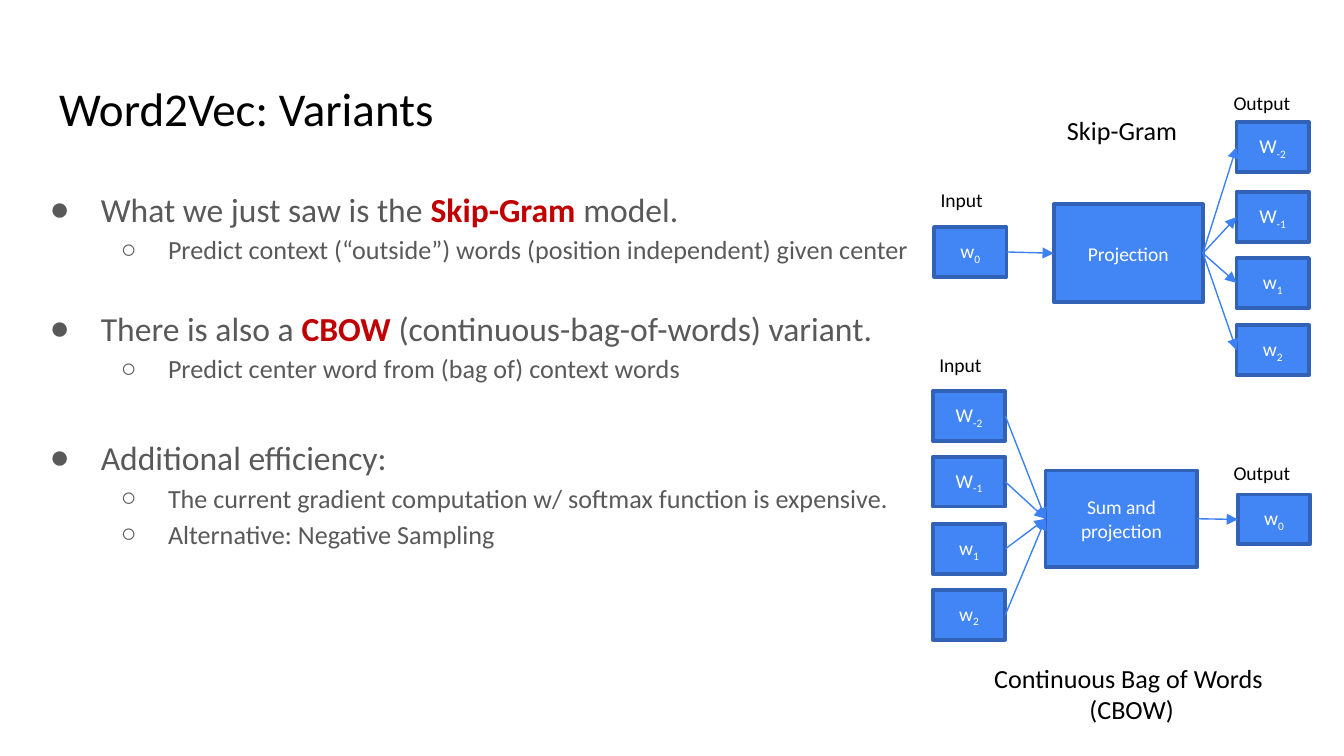
"""Build the Word2Vec variants slide with its two model diagrams."""
from dataclasses import dataclass

from lxml import etree
from pptx import Presentation
from pptx import util as u
from pptx.dml.color import RGBColor
from pptx.enum import shapes, text
from pptx.oxml.ns import qn


@dataclass(frozen=True)
class Theme:
    """Colours, font and type sizes."""
    face: str = "Calibri"
    ink: str = "000000"
    grey: str = "595959"
    red: str = "C00000"
    white: str = "FFFFFF"
    blue: str = "4285F4"
    edge: str = "3162B5"
    wire: str = "3C81F3"
    head: float = 25.2
    main: float = 18
    sub: float = 14
    small: float = 10.5


@dataclass(frozen=True)
class Node:
    """A word box: letter, subscript and place."""
    word: str
    sub: str
    left: float
    top: float


@dataclass(frozen=True)
class Hub:
    """The central box of a model."""
    label: str
    left: float
    top: float
    width: float
    height: float


@dataclass(frozen=True)
class Label:
    """Free text: its lines, place and look."""
    lines: tuple
    left: float
    top: float
    width: float
    height: float
    size: float
    align: text.PP_ALIGN = text.PP_ALIGN.LEFT
    wrap: bool = False


@dataclass(frozen=True)
class Item:
    """A list entry; key marks the stressed word."""
    start: str
    key: str = ""
    end: str = ""
    level: int = 0
    gap: float = 0


LOOK = Theme()
WORDS = (("W", "-2"), ("W", "-1"), ("w", "1"), ("w", "2"))
ITEMS = (
    Item("What we just saw is the ", "Skip-Gram ", "model."),
    Item("Predict context (“outside”) words (position independent) given center", level=1),
    Item("There is also a ", "CBOW ", "(continuous-bag-of-words) variant.", gap=19.6),
    Item("Predict center word from (bag of) context words", level=1),
    Item("Additional efficiency:", gap=25.2),
    Item("The current gradient computation w/ softmax function is expensive.", level=1),
    Item("Alternative: Negative Sampling", level=1),
)
LABELS = (
    Label(("Input",), 6.9, 1.35, 0.52, 0.28, LOOK.small),
    Label(("Output",), 9.08, 0.63, 0.64, 0.28, LOOK.small),
    Label(("Input",), 6.89, 2.58, 0.52, 0.28, LOOK.small),
    Label(("Output",), 9.08, 3.38, 0.64, 0.28, LOOK.small),
    Label(("Skip-Gram",), 7.84, 0.8, 1.33, 0.34, LOOK.sub, wrap=True),
    Label(("Continuous Bag of Words ", "(CBOW)"), 7.17, 4.88, 2.5, 0.57,
          LOOK.sub, text.PP_ALIGN.CENTER, True),
)


def style(para, size: float, color: str) -> None:
    """Set the font of a paragraph."""
    font = para.font
    font.name, font.size = LOOK.face, u.Pt(size)
    font.color.rgb = RGBColor.from_string(color)


def place(shape, left: float, top: float, width: float, height: float) -> None:
    """Move a placeholder and even out its margins."""
    shape.left, shape.top = u.Inches(left), u.Inches(top)
    shape.width, shape.height = u.Inches(width), u.Inches(height)
    frame = shape.text_frame
    frame.margin_left = frame.margin_right = u.Inches(0.1)
    frame.margin_top = frame.margin_bottom = u.Inches(0.1)
    frame.auto_size = text.MSO_AUTO_SIZE.NONE
    frame.vertical_anchor = text.MSO_ANCHOR.TOP


def bullet(para, level: int) -> None:
    """Give a list paragraph its indent and mark."""
    props = para._p.get_or_add_pPr()
    props.set("marL", str(u.Inches((0.5, 1)[level])))
    props.set("indent", str(u.Inches((-0.38, -0.35)[level])))
    tint = etree.SubElement(props, qn("a:buClr"))
    etree.SubElement(tint, qn("a:srgbClr"), val=LOOK.grey)
    etree.SubElement(props, qn("a:buFont"), typeface="Arial")
    etree.SubElement(props, qn("a:buChar"), char="●○"[level])


def entry(para, item: Item) -> None:
    """Write one list entry."""
    para.level = item.level
    para.line_spacing = 1.15
    para.space_before, para.space_after = u.Pt(item.gap), u.Pt(0)
    bullet(para, item.level)
    style(para, (LOOK.main, LOOK.sub)[item.level], LOOK.grey)
    for part in filter(None, (item.start, item.key, item.end)):
        run = para.add_run()
        run.text = part
        if part == item.key:
            run.font.bold = True
            run.font.color.rgb = RGBColor.from_string(LOOK.red)


def box(slide, left: float, top: float, width: float, height: float, word: str, sub: str = ""):
    """Draw a blue box with centred text and an optional subscript."""
    shape = slide.shapes.add_shape(
        shapes.MSO_SHAPE.RECTANGLE, *map(u.Inches, (left, top, width, height)))
    shape.shadow.inherit = False
    shape.fill.solid()
    shape.fill.fore_color.rgb = RGBColor.from_string(LOOK.blue)
    shape.line.color.rgb = RGBColor.from_string(LOOK.edge)
    shape.line.width = u.Pt(2)
    shape.text_frame.vertical_anchor = text.MSO_ANCHOR.MIDDLE
    para = shape.text_frame.paragraphs[0]
    para.alignment = text.PP_ALIGN.CENTER
    style(para, LOOK.small, LOOK.white)
    para.add_run().text = word
    if sub:
        run = para.add_run()
        run.text = sub
        run.font._element.set("baseline", "-25000")
    return shape


def arrow(slide, start, end) -> None:
    """Join the right side of one box to the left side of another."""
    line = slide.shapes.add_connector(shapes.MSO_CONNECTOR.STRAIGHT, 0, 0, 0, 0)
    line.begin_connect(start, 3)
    line.end_connect(end, 1)
    line.line.color.rgb = RGBColor.from_string(LOOK.wire)
    line.line.width = u.Pt(0.75)
    etree.SubElement(line.line._get_or_add_ln(), qn("a:tailEnd"), type="triangle")
    etree.SubElement(line._element.spPr, qn("a:effectLst"))


def model(slide, hub: Hub, ins: list[Node], outs: list[Node]) -> None:
    """Draw a model: inputs, hub, outputs and arrows."""
    core = box(slide, hub.left, hub.top, hub.width, hub.height, hub.label)
    for node in ins + outs:
        cell = box(slide, node.left, node.top, 0.54, 0.37, node.word, node.sub)
        arrow(slide, *((cell, core) if node in ins else (core, cell)))


def stack(left: float, tops: tuple) -> list[Node]:
    """Stack the context words in a column."""
    return [Node(*word, left, top) for word, top in zip(WORDS, tops)]


def note(slide, label: Label) -> None:
    """Write a free label."""
    frame = slide.shapes.add_textbox(
        *map(u.Inches, (label.left, label.top, label.width, label.height))).text_frame
    frame.word_wrap = label.wrap
    for i, line in enumerate(label.lines):
        para = frame.add_paragraph() if i else frame.paragraphs[0]
        para.alignment = label.align
        style(para, label.size, LOOK.ink)
        para.add_run().text = line


def main() -> None:
    """Build and save the slide."""
    deck = Presentation()
    deck.slide_width, deck.slide_height = u.Inches(10), u.Inches(10) * 9 // 16
    slide = deck.slides.add_slide(deck.slide_layouts[1])
    title, body = slide.placeholders
    place(title, 0.34, 0.49, 9.32, 0.63)
    title.text_frame.text = "Word2Vec: Variants"
    para = title.text_frame.paragraphs[0]
    para.alignment = text.PP_ALIGN.LEFT
    style(para, LOOK.head, LOOK.ink)
    place(body, 0.15, 1.26, 9.32, 3.74)
    for i, item in enumerate(ITEMS):
        entry(body.text_frame.add_paragraph() if i else body.text_frame.paragraphs[0], item)
    model(slide, Hub("Sum and projection", 7.78, 3.5, 1.13, 0.72),
          stack(6.94, (2.91, 3.4, 3.9, 4.39)), [Node("w", "0", 9.21, 3.68)])
    model(slide, Hub("Projection", 7.84, 1.52, 1.11, 0.73),
          [Node("w", "0", 6.95, 1.69)], stack(9.2, (0.91, 1.43, 1.92, 2.42)))
    for label in LABELS:
        note(slide, label)
    deck.save("out.pptx")


if __name__ == "__main__":
    main()
